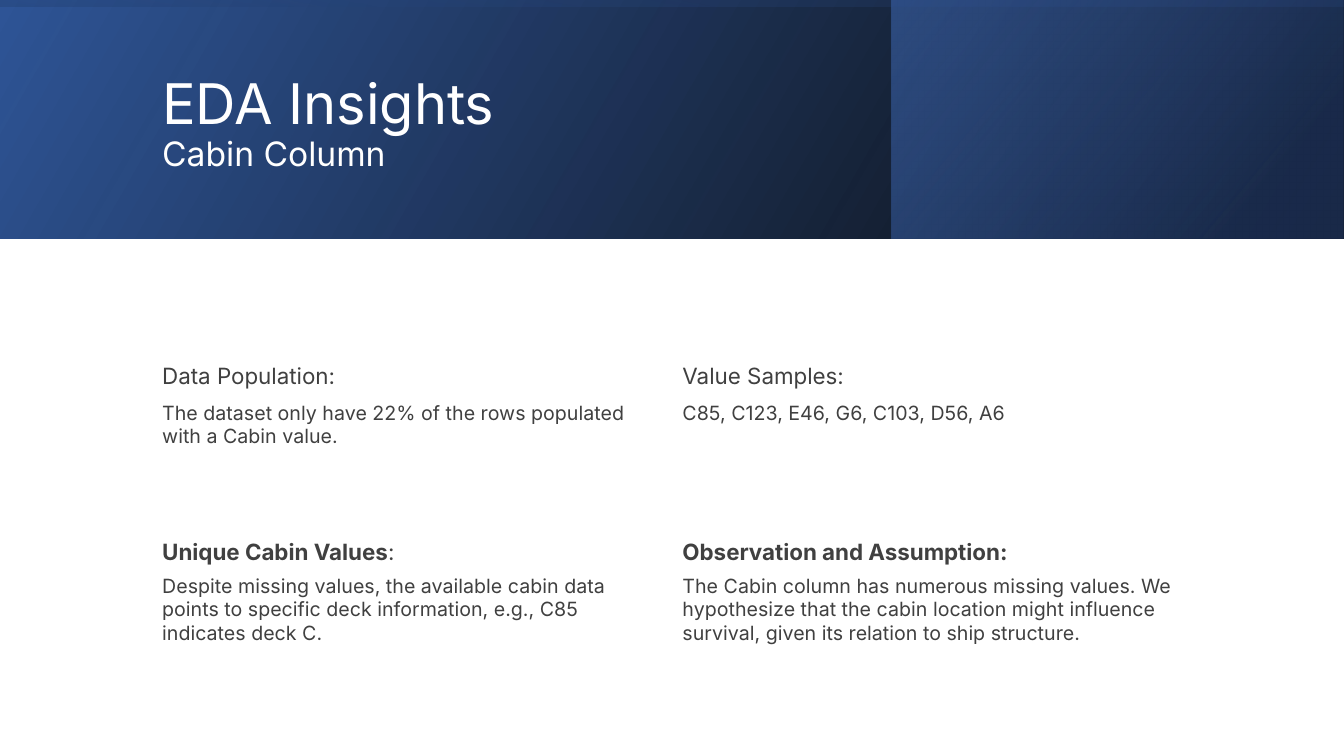
from dataclasses import dataclass
from pptx import Presentation
from pptx.dml.color import RGBColor
from pptx.enum.shapes import MSO_SHAPE
from pptx.enum.text import MSO_ANCHOR
from pptx.oxml.ns import qn
from pptx.util import Inches, Pt


@dataclass(frozen=True)
class Theme:
    font: str = "Inter"
    white: str = "FFFFFF"
    ink: str = "404040"
    black: str = "000000"
    blue: str = "2F5597"
    navy: str = "203864"
    sky: str = "4472C4"
    title: int = 40
    sub: int = 24
    head: int = 16
    body: int = 14


class Page:
    """Places elements by percent of the slide's width and height."""

    def __init__(self, deck, theme):
        self.wide, self.high = deck.slide_width, deck.slide_height
        self.theme = theme
        self.slide = deck.slides.add_slide(deck.slide_layouts[6])

    def box(self, x, y, w, h):
        return [round(part * full / 100) for part, full in
                zip((x, y, w, h), (self.wide, self.high) * 2)]

    def panel(self, area, stops, angle, turned=False):
        """Mirrored gradient panel; each stop is (position, colour, opacity)."""
        x, y, w, h = self.box(*area)
        if turned:
            x, y, w, h = x + (w - h) // 2, y + (h - w) // 2, h, w
        shape = self.slide.shapes.add_shape(MSO_SHAPE.RECTANGLE, x, y, w, h)
        shape.rotation = 270 if turned else 0
        shape._element.spPr.xfrm.set("flipH", "1")
        shape.shadow.inherit = False
        shape.line.fill.background()
        shape.fill.gradient()
        shape.fill.gradient_angle = 360 - angle
        for stop, (place, color, _) in zip(shape.fill.gradient_stops, stops):
            stop.position = place / 100
            stop.color.rgb = RGBColor.from_string(color)
        tints = shape._element.spPr.iter(qn("a:srgbClr"))
        for tint, (_, _, alpha) in zip(list(tints), stops):
            tint.makeelement(qn("a:alpha"))
            node = tint.makeelement(qn("a:alpha"), {"val": str(alpha * 1000)})
            tint.append(node)

    def frame(self, area):
        frame = self.slide.shapes.add_textbox(*self.box(*area)).text_frame
        frame.word_wrap = True
        return frame

    def style(self, font, size, color):
        font.name, font.size = self.theme.font, Pt(size)
        font.color.rgb = RGBColor.from_string(color)

    def title(self, area, main, sub):
        frame = self.frame(area)
        frame.vertical_anchor = MSO_ANCHOR.MIDDLE
        para = frame.paragraphs[0]
        para.line_spacing = 0.9
        for size, text in ((self.theme.title, main), (self.theme.sub, sub)):
            if para.runs:
                para.add_line_break()
            run = para.add_run()
            run.text = text
            self.style(run.font, size, self.theme.white)

    def note(self, area, head, body, before=0, after=0):
        """Heading of (text, bold) runs above a body paragraph."""
        frame = self.frame(area)
        parts = ((self.theme.head, head), (self.theme.body, [(body, False)]))
        for para, (size, runs) in zip(
                (frame.paragraphs[0], frame.add_paragraph()), parts):
            para.space_before, para.space_after = Pt(before), Pt(after)
            self.style(para.font, size, self.theme.ink)
            for text, bold in runs:
                run = para.add_run()
                run.text, run.font.bold = text, bold


deck = Presentation()
deck.slide_width, deck.slide_height = Inches(13.33), Inches(7.5)
look = Theme()
page = Page(deck, look)

# Header band
band = (0, 0, 100, 31.6)
page.panel(band, [(0, look.black, 96), (100, look.blue, 100)], 330)
page.panel((66.3, 0, 33.65, 31.6),
           [(19, look.navy, 68), (100, look.sky, 48)], 320)
page.panel(band, [(23, look.blue, 16), (99, look.black, 45)], 350, turned=True)
page.title((11.33, 5.07, 79.74, 22.93), "EDA Insights", "Cabin Column")

# Two columns by two rows of findings
left, right = 11.33, 50.04
upper, lower = 47.2, 70.53
page.note((left, upper, 37.73, 14), [("Data Population:", False)],
          "The dataset only have 22% of the rows populated with a Cabin value.",
          before=8.6)
page.note((right, upper, 38.63, 10.8), [("Value Samples:", False)],
          "C85, C123, E46, G6, C103, D56, A6", before=8.6)
page.note((left, lower, 37.73, 15.47),
          [("Unique Cabin Values", True), (":", False)],
          "Despite missing values, the available cabin data points to specific "
          "deck information, e.g., C85 indicates deck C.", after=6)
page.note((right, lower, 39.91, 15.47),
          [("Observation and Assumption:", True)],
          "The Cabin column has numerous missing values. We hypothesize that "
          "the cabin location might influence survival, given its relation to "
          "ship structure.", after=6)

deck.save("out.pptx")
